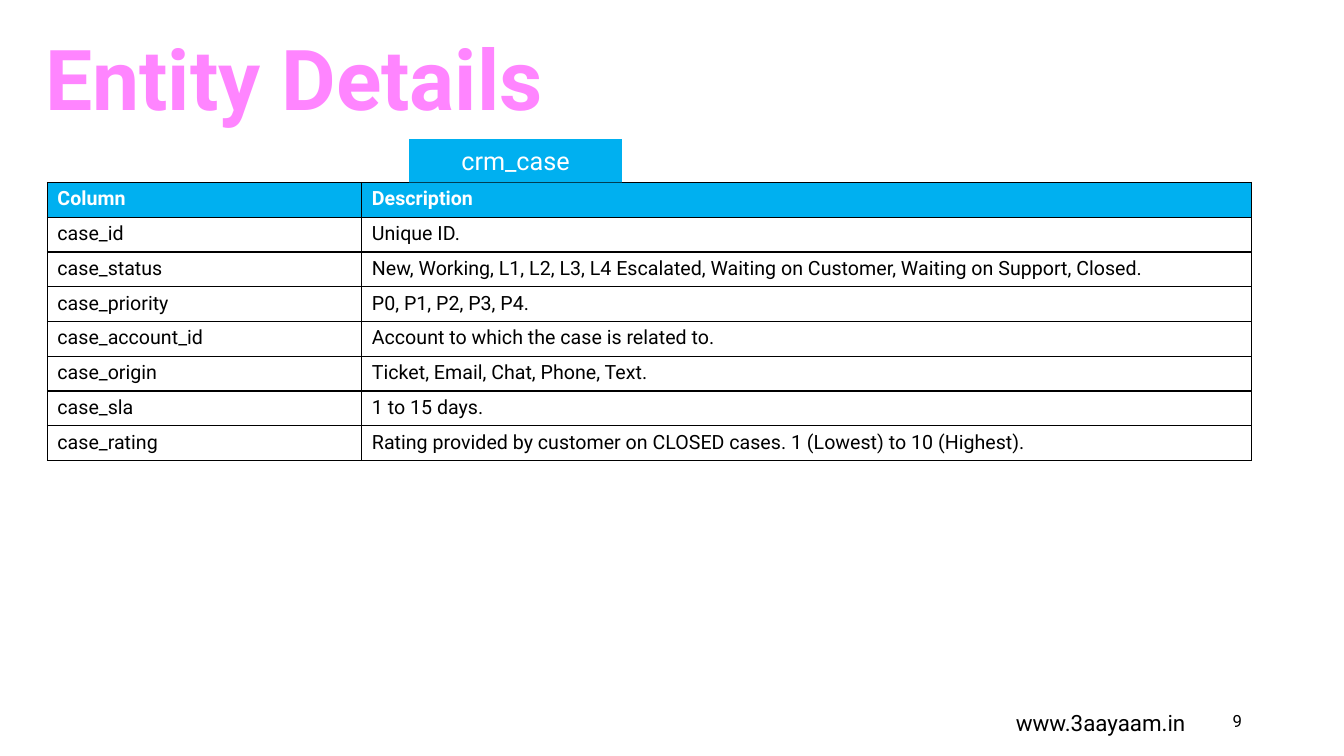
"""Build the Entity Details slide describing the crm_case table."""
from lxml.etree import SubElement
from pptx import Presentation
from pptx.dml.color import RGBColor
from pptx.enum.shapes import MSO_SHAPE
from pptx.enum.text import MSO_ANCHOR, PP_ALIGN
from pptx.oxml.ns import qn
from pptx.util import Pt

FONT = "Roboto"
BLACK, WHITE, BLUE, PINK = "000000", "FFFFFF", "00B0F0", "FF85FF"
ROW_HEIGHT = 24.84
COLUMN_WIDTHS = (224.64, 635.76)
ROWS = [
    ("Column", "Description"),
    ("case_id", "Unique ID."),
    ("case_status", "New, Working, L1, L2, L3, L4 Escalated, Waiting on Customer, "
                    "Waiting on Support, Closed."),
    ("case_priority", "P0, P1, P2, P3, P4."),
    ("case_account_id", "Account to which the case is related to."),
    ("case_origin", "Ticket, Email, Chat, Phone, Text."),
    ("case_sla", "1 to 15 days."),
    ("case_rating", "Rating provided by customer on CLOSED cases. "
                    "1 (Lowest) to 10 (Highest)."),
]


def color(hex_string):
    """Return the colour for a hex string."""
    return RGBColor.from_string(hex_string)


def write_text(holder, text, size, fill=BLACK, bold=False,
               align=PP_ALIGN.LEFT, anchor=MSO_ANCHOR.MIDDLE):
    """Write one formatted paragraph into a shape or table cell."""
    frame = holder.text_frame
    frame.word_wrap = True
    holder_or_frame = frame if hasattr(frame, "auto_size") and hasattr(holder, "shape_id") else holder
    holder_or_frame.vertical_anchor = anchor
    paragraph = frame.paragraphs[0]
    paragraph.alignment = align
    run = paragraph.add_run()
    run.text = text
    run.font.name = FONT
    run.font.size = Pt(size)
    run.font.bold = bold
    run.font.color.rgb = color(fill)


presentation = Presentation()
presentation.slide_width = Pt(960)
presentation.slide_height = Pt(540)
slide = presentation.slides.add_slide(presentation.slide_layouts[5])

title = slide.shapes.title
title.left, title.top, title.width, title.height = Pt(25.2), Pt(10.8), Pt(905), Pt(88.56)
write_text(title, "Entity Details", size=60, fill=PINK, bold=True)

website = slide.shapes.add_textbox(Pt(709.2), Pt(501.84), Pt(154.08), Pt(28.8))
write_text(website, "www.3aayaam.in", size=16, align=PP_ALIGN.CENTER)

page_number = slide.shapes.add_textbox(Pt(678.24), Pt(500.4), Pt(216), Pt(28.8))
write_text(page_number, "9", size=12, align=PP_ALIGN.RIGHT)

table = slide.shapes.add_table(
    len(ROWS), len(COLUMN_WIDTHS), Pt(33.84), Pt(130.32),
    Pt(sum(COLUMN_WIDTHS)), Pt(ROW_HEIGHT * len(ROWS))).table
table.first_row = False
table.horz_banding = False
for column, width in zip(table.columns, COLUMN_WIDTHS):
    column.width = Pt(width)
for row_index, values in enumerate(ROWS):
    table.rows[row_index].height = Pt(ROW_HEIGHT)
    is_header = row_index == 0
    for column_index, value in enumerate(values):
        cell = table.cell(row_index, column_index)
        write_text(cell, value, size=14, fill=WHITE if is_header else BLACK,
                   bold=is_header, anchor=MSO_ANCHOR.TOP)
        properties = cell._tc.get_or_add_tcPr()
        for side in ("a:lnL", "a:lnR", "a:lnT", "a:lnB"):
            border = SubElement(properties, qn(side), w=str(Pt(1)))
            border_fill = SubElement(border, qn("a:solidFill"))
            SubElement(border_fill, qn("a:srgbClr"), val=BLACK)
        if is_header:
            cell.fill.solid()
            cell.fill.fore_color.rgb = color(BLUE)
        else:
            cell.fill.background()

entity_label = slide.shapes.add_shape(
    MSO_SHAPE.RECTANGLE, Pt(292.32), Pt(99.36), Pt(151.92), Pt(30.96))
entity_label.shadow.inherit = False
entity_label.fill.solid()
entity_label.fill.fore_color.rgb = color(BLUE)
entity_label.line.fill.background()
write_text(entity_label, "crm_case", size=18, fill=WHITE, align=PP_ALIGN.CENTER)

presentation.save("out.pptx")
